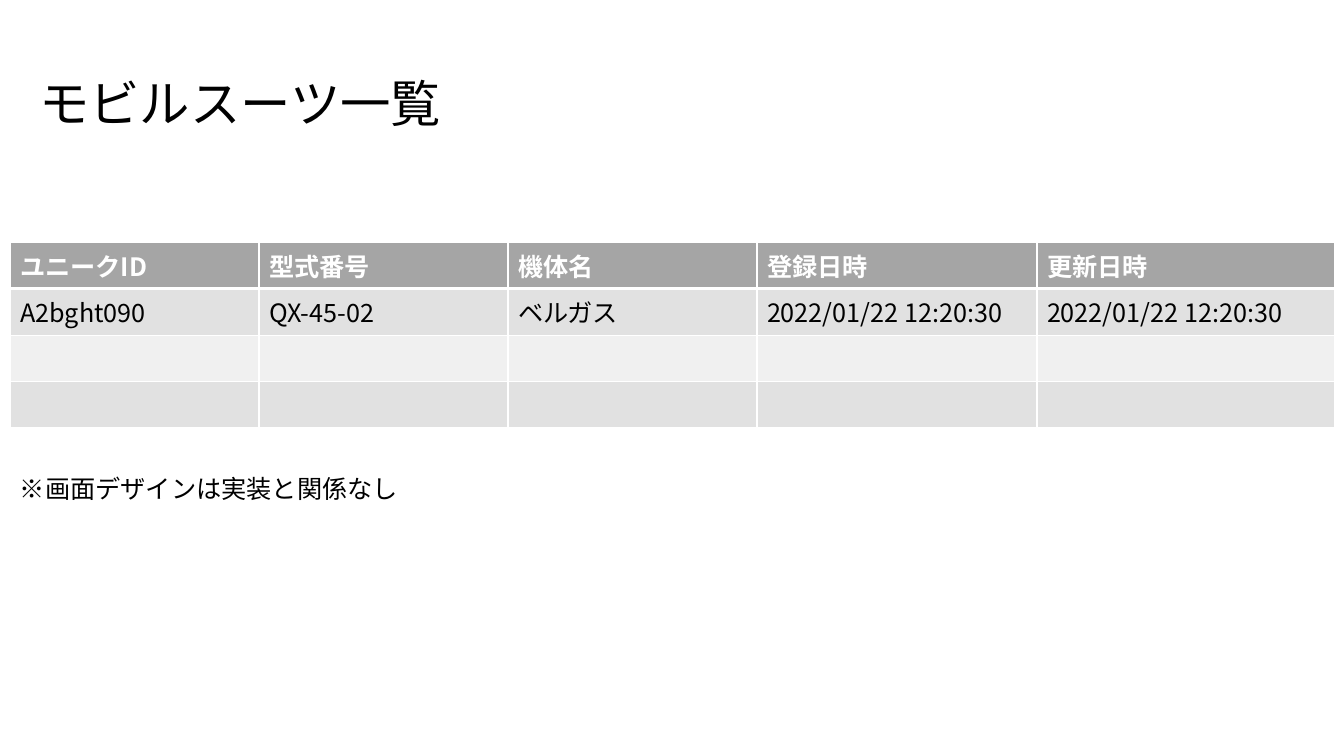
from dataclasses import dataclass

from lxml.etree import SubElement
from pptx import Presentation
from pptx.dml.color import RGBColor
from pptx.enum.text import MSO_ANCHOR as Anchor, MSO_AUTO_SIZE as AutoSize
from pptx.oxml.ns import qn
from pptx.util import Emu, Pt

SCALE = 914400 / 100.8


@dataclass(frozen=True)
class Theme:
    """Colours, type sizes and font of the slide."""
    font: str = "Noto Sans CJK JP"
    title_size: int = 36
    body_size: int = 18
    ink: str = "000000"
    white: str = "FFFFFF"
    header: str = "A5A5A5"
    bands: tuple = ("E1E1E1", "F0F0F0")


THEME = Theme()
COLUMN_WIDTHS = (249, 249, 249, 280, 298)
ROWS = (
    ("ユニークID", "型式番号", "機体名", "登録日時", "更新日時"),
    ("A2bght090", "QX-45-02", "ベルガス", "2022/01/22 12:20:30", "2022/01/22 12:20:30"),
    ("",) * 5,
    ("",) * 5,
)


def px(length):
    """Turn pixels into EMU."""
    return Emu(round(length * SCALE))


def write_text(frame, text, size=THEME.body_size, color=THEME.ink, bold=False):
    """Write one formatted run into a text frame."""
    run = frame.paragraphs[0].add_run()
    run.text = text
    run.font.size = Pt(size)
    run.font.bold = bold
    run.font.name = THEME.font
    run.font.color.rgb = RGBColor.from_string(color)
    SubElement(run.font._element, qn("a:ea"), typeface=THEME.font)


def set_borders(cell, top, bottom):
    """Give a cell white borders, with top and bottom widths in points."""
    properties = cell._tc.get_or_add_tcPr()
    for side, width in (("L", 1), ("R", 1), ("T", top), ("B", bottom)):
        line = SubElement(properties, qn(f"a:ln{side}"), w=str(Pt(width)))
        fill = SubElement(line, qn("a:solidFill"))
        SubElement(fill, qn("a:srgbClr"), val=THEME.white)


def place_line(shape, box, text, **text_format):
    """Place a shape in its box with one vertically centred line of text."""
    shape.left, shape.top, shape.width, shape.height = map(px, box)
    frame = shape.text_frame
    frame.word_wrap = True
    frame.auto_size = AutoSize.NONE
    frame.vertical_anchor = Anchor.MIDDLE
    write_text(frame, text, **text_format)


def add_title(slide, box):
    """Fill the title placeholder, aligned left."""
    title = slide.shapes.title
    place_line(title, box, "モビルスーツ一覧", size=THEME.title_size)
    title.text_frame.paragraphs[0].alignment = 1


def add_unit_table(slide, box):
    """Add the table of units with a grey header and banded rows."""
    shape = slide.shapes.add_table(len(ROWS), len(COLUMN_WIDTHS), *map(px, box))
    table = shape.table
    for column, width in zip(table.columns, COLUMN_WIDTHS):
        column.width = px(width)
    for row_index, texts in enumerate(ROWS):
        is_header = row_index == 0
        fill = THEME.header if is_header else THEME.bands[(row_index - 1) % 2]
        for column_index, text in enumerate(texts):
            cell = table.cell(row_index, column_index)
            set_borders(cell, top=3 if row_index == 1 else 1, bottom=3 if is_header else 1)
            cell.fill.solid()
            cell.fill.fore_color.rgb = RGBColor.from_string(fill)
            if text:
                color = THEME.white if is_header else THEME.ink
                write_text(cell.text_frame, text, color=color, bold=is_header)


def add_note(slide, box):
    """Add the remark below the table."""
    note = slide.shapes.add_textbox(*map(px, box))
    place_line(note, box, "※画面デザインは実装と関係なし")


def build():
    """Build the slide and save it."""
    presentation = Presentation()
    presentation.slide_width, presentation.slide_height = px(1344), px(756)
    slide = presentation.slides.add_slide(presentation.slide_layouts[5])
    add_unit_table(slide, (10, 242, sum(COLUMN_WIDTHS), 46 * len(ROWS)))
    add_title(slide, (29, 67, 430, 71))
    add_note(slide, (10, 468, 430, 40))
    presentation.save("out.pptx")


build()
